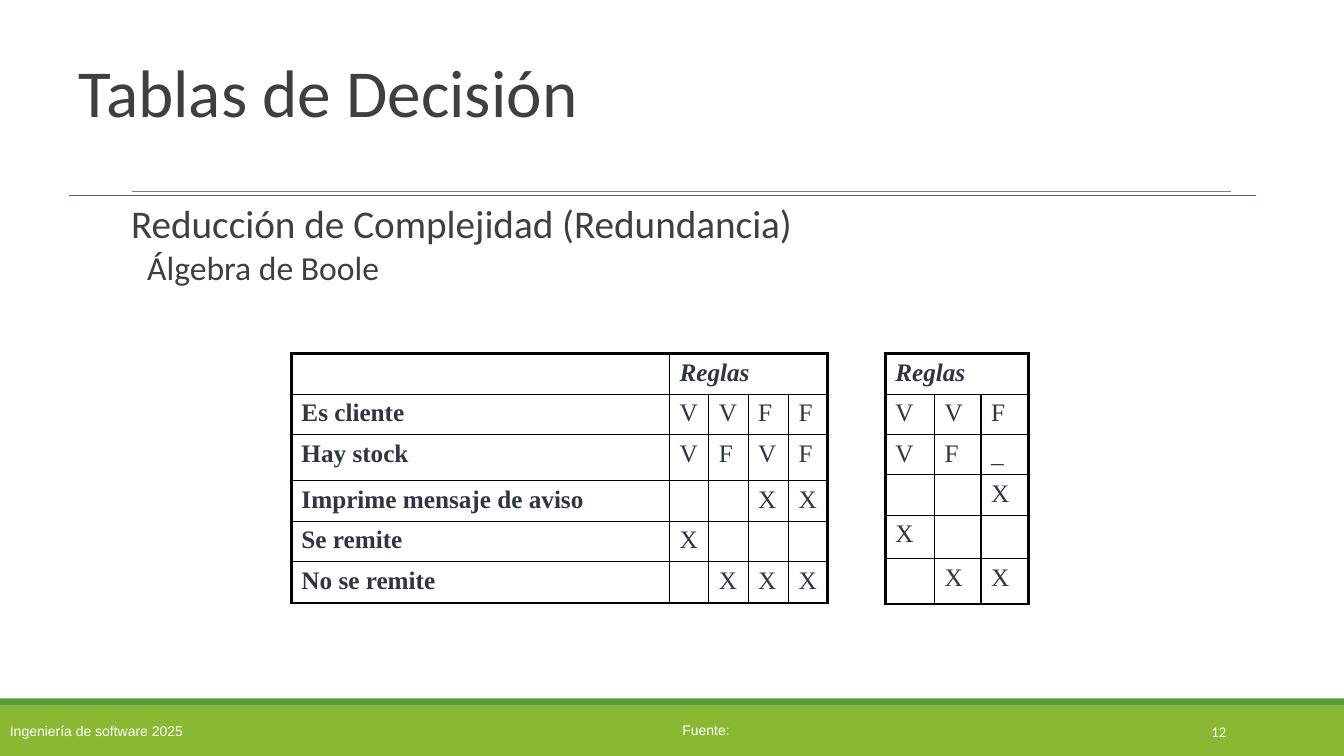
from dataclasses import dataclass

from lxml import etree
from pptx import Presentation
from pptx.dml.color import RGBColor
from pptx.enum import shapes, text
from pptx.oxml import ns
from pptx.util import Inches, Pt

TITLE = "Tablas de Decisión"
BODY = [("Reducción de Complejidad (Redundancia)", 28, 0.29),
        ("Álgebra de Boole", 24, 0.45)]
FOOTER, SOURCE, NUMBER = "Ingeniería de software 2025", "Fuente:", "12"

FULL_TABLE = dict(
    left=2.89, top=3.51, heading_column=1, label_columns=1,
    columns=[3.75, 0.39, 0.39, 0.4, 0.39],
    heights=[0.39, 0.38, 0.46, 0.39, 0.38, 0.41],
    rows=[["", "Reglas", "", "", ""],
          ["Es cliente", "V", "V", "F", "F"],
          ["Hay stock", "V", "F", "V", "F"],
          ["Imprime mensaje de aviso", "", "", "X", "X"],
          ["Se remite", "X", "", "", ""],
          ["No se remite", "", "X", "X", "X"]])
REDUCED_TABLE = dict(
    left=8.78, top=3.51, heading_column=0, label_columns=0,
    columns=[0.49, 0.46, 0.47],
    heights=[0.38, 0.38, 0.38, 0.38, 0.43, 0.45],
    rows=[["Reglas", "", ""],
          ["V", "V", "F"],
          ["V", "F", "_"],
          ["", "", "X"],
          ["X", "", ""],
          ["", "X", "X"]])


@dataclass(frozen=True)
class Theme:
    ink: str = "3F3F3F"
    cell_ink: str = "313543"
    white: str = "FFFFFF"
    border: str = "000000"
    footer: str = "8AB833"
    stripe: str = "549E39"
    inner_rule: str = "7F7F7F"
    outer_rule: str = "517178"
    sans: str = "Calibri"
    serif: str = "Times New Roman"
    small: str = "Arial"
    title_size: float = 48
    cell_size: float = 18
    footer_size: float = 10
    number_size: float = 10.5
    thin: float = 0.96
    thick: float = 2.21


THEME = Theme()


def add_span(para, words, size, font, color, bold=False, italic=False):
    span = para.add_run()
    span.text = words
    span.font.size, span.font.name = Pt(size), font
    span.font.bold, span.font.italic = bold, italic
    span.font.color.rgb = RGBColor.from_string(color)


def add_box(page, left, top, width, height, anchor=text.MSO_ANCHOR.TOP, wrap=True):
    box = page.shapes.add_textbox(*map(Inches, (left, top, width, height)))
    box.text_frame.word_wrap = wrap
    box.text_frame.vertical_anchor = anchor
    return box.text_frame


def add_band(page, top, height, color):
    band = page.shapes.add_shape(shapes.MSO_SHAPE.RECTANGLE, 0, Inches(top),
                                 Inches(13.33), Inches(height))
    band.shadow.inherit = False
    band.fill.solid()
    band.fill.fore_color.rgb = RGBColor.from_string(color)
    band.line.fill.background()
    return band.text_frame


def add_rule(page, left, right, top, color):
    rule = page.shapes.add_connector(shapes.MSO_CONNECTOR.STRAIGHT,
                                     *map(Inches, (left, top, right, top)))
    rule.line.width = Pt(0.75)
    rule.line.color.rgb = RGBColor.from_string(color)
    etree.SubElement(rule._element.spPr, ns.qn("a:effectLst"))


def set_borders(cell, outer):
    properties = cell._tc.get_or_add_tcPr()
    for place, side in enumerate("LRTB"):
        width = THEME.thick if side in outer else THEME.thin
        line = etree.Element(ns.qn(f"a:ln{side}"), w=str(Pt(width)))
        fill = etree.SubElement(line, ns.qn("a:solidFill"))
        etree.SubElement(fill, ns.qn("a:srgbClr"), val=THEME.border)
        properties.insert(place, line)


def add_decision_table(page, left, top, heading_column, label_columns, columns, heights, rows):
    last_row, last_column = len(rows) - 1, len(columns) - 1
    table = page.shapes.add_table(len(rows), len(columns), *map(
        Inches, (left, top, sum(columns), sum(heights)))).table
    table.first_row = table.horz_banding = False
    for column, width in zip(table.columns, columns):
        column.width = Inches(width)
    for row, height in zip(table.rows, heights):
        row.height = Inches(height)
    table.cell(0, heading_column).merge(table.cell(0, last_column))
    for r, row in enumerate(rows):
        for c, words in enumerate(row):
            cell = table.cell(r, c)
            cell.fill.background()
            heading = r == 0 and c >= heading_column
            edges = {"L": c == 0, "R": c == last_column or heading,
                     "T": r == 0, "B": r == last_row}
            set_borders(cell, [side for side, outer in edges.items() if outer])
            para = cell.text_frame.paragraphs[0]
            if words:
                add_span(para, words, THEME.cell_size, THEME.serif, THEME.cell_ink,
                         heading or c < label_columns, heading)
            else:
                etree.SubElement(para._p, ns.qn("a:endParaRPr"), sz="1200")


def add_title(page):
    title = page.shapes.title
    title.left, title.top, title.width, title.height = map(Inches, (0.68, 0.62, 11.78, 1.31))
    frame = title.text_frame
    frame.auto_size = text.MSO_AUTO_SIZE.NONE
    frame.vertical_anchor = text.MSO_ANCHOR.TOP
    frame.margin_top = 0
    para = frame.paragraphs[0]
    para.alignment = text.PP_ALIGN.LEFT
    para.line_spacing = 0.85
    add_span(para, TITLE, THEME.title_size, THEME.sans, THEME.ink)


def add_body(page):
    frame = add_box(page, 1.01, 2, 10.71, 1.2)
    frame.margin_left = frame.margin_right = 0
    for index, (words, size, indent) in enumerate(BODY):
        para = frame.add_paragraph() if index else frame.paragraphs[0]
        para._p.get_or_add_pPr().set("marL", str(Inches(indent)))
        para.line_spacing = 0.85
        if index:
            para.space_before = Pt(4.5)
        add_span(para, words, size, THEME.sans, THEME.ink)


def add_footer(page):
    frame = add_band(page, 7, 0.5, THEME.footer)
    frame.vertical_anchor = text.MSO_ANCHOR.MIDDLE
    para = frame.paragraphs[0]
    para.alignment = text.PP_ALIGN.LEFT
    add_span(para, FOOTER, THEME.footer_size, THEME.small, THEME.white)
    add_band(page, 6.93, 0.07, THEME.stripe)
    source = add_box(page, 6.67, 7.11, 0.67, 0.26, wrap=False)
    add_span(source.paragraphs[0], SOURCE, THEME.footer_size, THEME.small, THEME.white)
    number = add_box(page, 10.83, 7.06, 1.43, 0.4, text.MSO_ANCHOR.MIDDLE).paragraphs[0]
    number.alignment = text.PP_ALIGN.RIGHT
    add_span(number, NUMBER, THEME.number_size, THEME.sans, THEME.white)


def main():
    deck = Presentation()
    deck.slide_width, deck.slide_height = Inches(13.33), Inches(7.5)
    page = deck.slides.add_slide(deck.slide_layouts.get_by_name("Title Only"))
    add_footer(page)
    add_rule(page, 1.31, 12.21, 1.9, THEME.inner_rule)
    add_rule(page, 0.68, 12.46, 1.94, THEME.outer_rule)
    add_title(page)
    add_body(page)
    for content in (FULL_TABLE, REDUCED_TABLE):
        add_decision_table(page, **content)
    deck.save("out.pptx")


if __name__ == "__main__":
    main()
